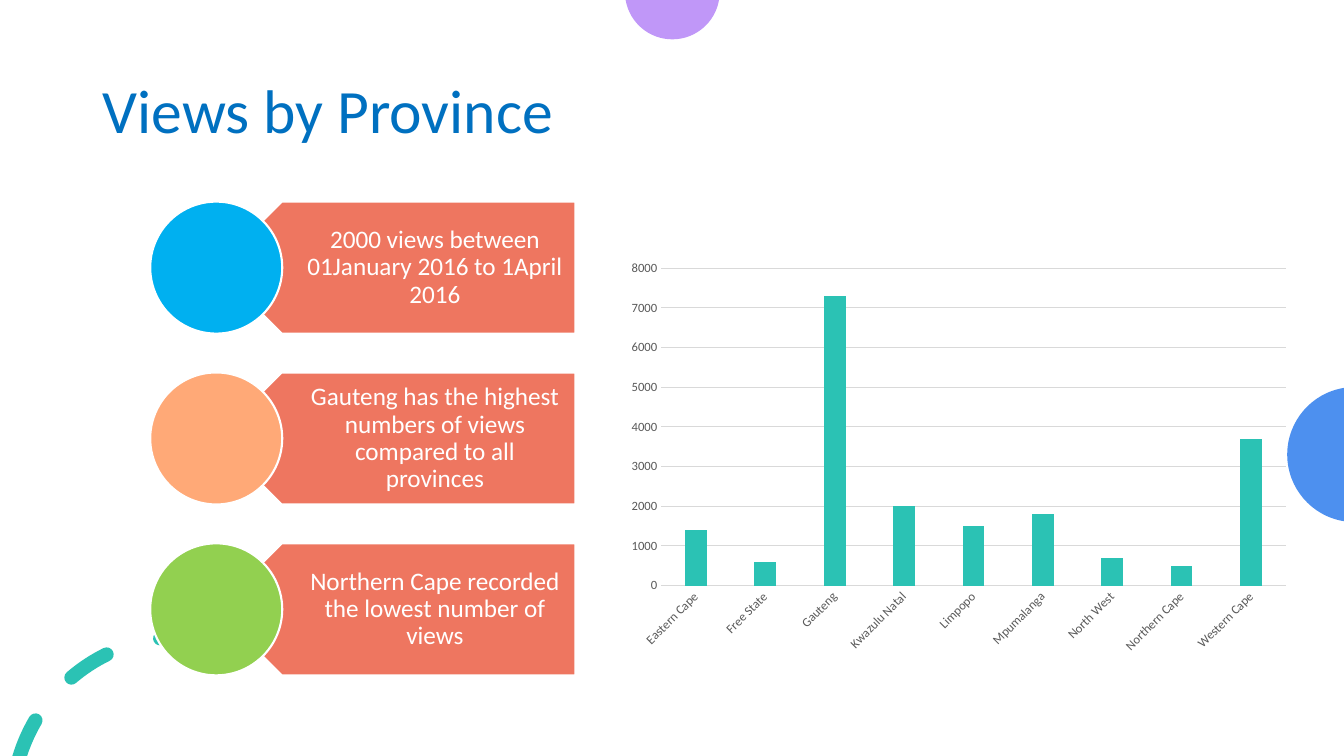
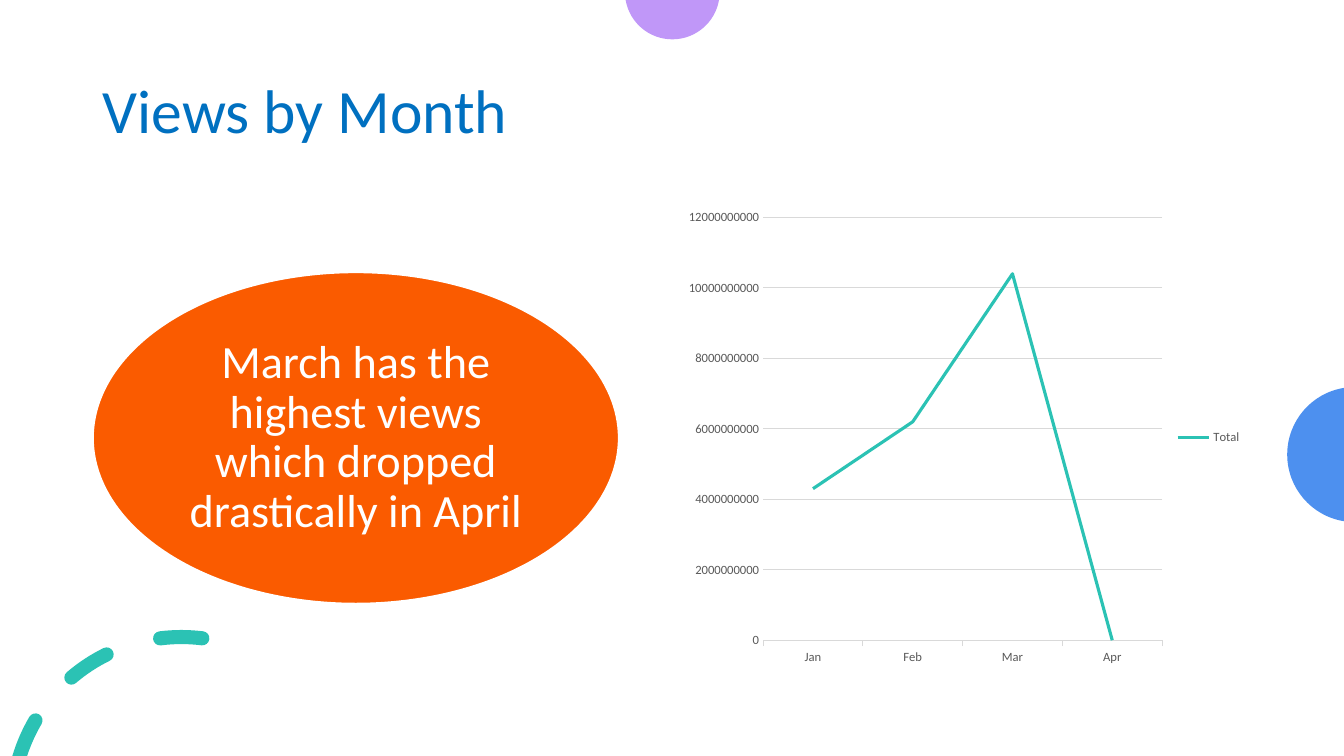
from math import acos, asin, cos, degrees, radians, sin, tan

from lxml import etree
from pptx import Presentation
from pptx.chart.data import CategoryChartData
from pptx.dml.color import RGBColor
from pptx.enum.chart import XL_CHART_TYPE, XL_LEGEND_POSITION, XL_TICK_MARK
from pptx.enum.shapes import MSO_SHAPE
from pptx.enum.text import MSO_ANCHOR, PP_ALIGN
from pptx.oxml.ns import qn
from pptx.util import Inches, Pt

WIDTH, HEIGHT = 40 / 3, 7.5

THEME = {
    "font": "Calibri",
    "title": RGBColor(0x00, 0x70, 0xC0),
    "white": RGBColor(0xFF, 0xFF, 0xFF),
    "teal": RGBColor(0x2B, 0xC2, 0xB4),
    "purple": RGBColor(0xC0, 0x97, 0xF8),
    "blue": RGBColor(0x4D, 0x90, 0xEF),
    "coral": RGBColor(0xEE, 0x76, 0x60),
    "sky": RGBColor(0x00, 0xB0, 0xF0),
    "peach": RGBColor(0xFF, 0xA9, 0x77),
    "green": RGBColor(0x92, 0xD0, 0x50),
    "orange": RGBColor(0xFA, 0x5B, 0x00),
    "grid": RGBColor(0xD9, 0xD9, 0xD9),
    "axis_text": RGBColor(0x59, 0x59, 0x59),
    "title_size": Pt(44),
    "point_size": Pt(18),
    "callout_size": Pt(33),
    "chart_size": Pt(9),
    "outline": Pt(1.5),
    "grid_line": Pt(0.75),
    "series_line": Pt(2.25),
}


def write_text(shape, text, size, color, align, margins):
    """Fill a shape with one paragraph; margins run left, top, right, bottom."""
    frame = shape.text_frame
    frame.word_wrap = True
    frame.vertical_anchor = MSO_ANCHOR.MIDDLE
    for side, margin in zip(("left", "top", "right", "bottom"), margins):
        setattr(frame, f"margin_{side}", Inches(margin))
    paragraph = frame.paragraphs[0]
    paragraph.text = text
    paragraph.alignment = align
    paragraph.line_spacing = 0.9
    formats = {"name": THEME["font"], "size": THEME[size]}
    for name, value in formats.items():
        setattr(paragraph.font, name, value)
    paragraph.font.color.rgb = THEME[color]


def arc(x, y, radius, *angles):
    """Points of Bezier curves that follow a circle from angle to angle."""
    points = []
    for first, last in zip(angles, angles[1:]):
        a, b = radians(first), radians(last)
        reach = 4 / 3 * tan((b - a) / 4)
        points += [
            (x + radius * (cos(a) - reach * sin(a)), y + radius * (sin(a) + reach * cos(a))),
            (x + radius * (cos(b) + reach * sin(b)), y + radius * (sin(b) - reach * cos(b))),
            (x + radius * cos(b), y + radius * sin(b)),
        ]
    a = radians(angles[0])
    return [(x + radius * cos(a), y + radius * sin(a))] + points


# Shared decoration: two discs cut by the slide edges
top_x, top_y, top_radius = 6.67, -0.08, 0.47
top_angle = degrees(asin(-top_y / top_radius))
right_x, right_y, right_radius = 13.44, 4.51, 0.67
right_angle = degrees(acos((WIDTH - right_x) / right_radius))

# Shared decoration: ring of round-ended dashes, the first cut by the bottom edge
ring_x, ring_y, ring_radius, half_stroke = 1.8, 8, 1.68, 0.07
outer, inner = ring_radius + half_stroke, ring_radius - half_stroke
dashes = []
for index in range(3):
    start = 196.2 + 33.3 * index
    end = start + 14.3
    if index == 0:
        outer_start, inner_start = (
            180 + degrees(asin((ring_y - HEIGHT) / radius)) for radius in (outer, inner)
        )
    else:
        outer_start = inner_start = start
    end_x, end_y = arc(ring_x, ring_y, ring_radius, end)[0]
    dash = arc(ring_x, ring_y, outer, outer_start, end)
    dash += arc(end_x, end_y, half_stroke, end, end + 90, end + 180)[1:]
    dash += arc(ring_x, ring_y, inner, end, inner_start)[1:]
    if index > 0:
        start_x, start_y = arc(ring_x, ring_y, ring_radius, start)[0]
        dash += arc(start_x, start_y, half_stroke, start + 180, start + 270, start + 360)[1:]
    dashes.append(dash)

decorations = [
    ("purple", [arc(top_x, top_y, top_radius, top_angle, 90, 180 - top_angle)]),
    ("teal", dashes),
    ("blue", [arc(right_x, right_y, right_radius, right_angle, 180, 360 - right_angle)]),
]

presentation = Presentation()
presentation.slide_width = Inches(WIDTH)
presentation.slide_height = Inches(HEIGHT)

# Both slides: decoration and title
slides = []
for title in ("Views by Province", "Views by Month"):
    slide = presentation.slides.add_slide(presentation.slide_layouts[6])
    slides.append(slide)
    for color, contours in decorations:
        scaled = [[(Inches(x), Inches(y)) for x, y in contour] for contour in contours]
        builder = slide.shapes.build_freeform(*scaled[0][0])
        for index, contour in enumerate(scaled):
            if index > 0:
                builder.move_to(*contour[0])
            builder.add_line_segments(contour[1:], close=True)
        shape = builder.convert_to_shape()
        # Every three points make one curve
        segments = list(shape._element.iter(qn("a:lnTo")))
        for first, second, third in zip(segments[::3], segments[1::3], segments[2::3]):
            curve = etree.Element(qn("a:cubicBezTo"))
            first.addprevious(curve)
            for segment in (first, second, third):
                curve.append(segment[0])
                segment.getparent().remove(segment)
        shape.shadow.inherit = False
        shape.fill.solid()
        shape.fill.fore_color.rgb = THEME[color]
        shape.line.fill.background()
    title_box = slide.shapes.add_textbox(
        Inches(0.92), Inches(0.4), Inches(11.5), Inches(1.45)
    )
    write_text(title_box, title, "title_size", "title", PP_ALIGN.LEFT,
               (0.1, 0.05, 0.1, 0.05))
province_slide, month_slide = slides

# Province slide: three points, each an arrow tag with a disc
points = [
    ("sky", "2000 views between 01January 2016 to 1April 2016"),
    ("peach", "Gauteng has the highest numbers of views compared to all provinces"),
    ("green", "Northern Cape recorded the lowest number of views"),
]
size = 1.31
preset_rows = []
for index, (color, text) in enumerate(points):
    top = 2 + 1.695 * index
    preset_rows += [
        (province_slide, MSO_SHAPE.PENTAGON, 2.14, top, 3.57, size, "coral", text),
        (province_slide, MSO_SHAPE.OVAL, 1.49, top, size, size, color, None),
    ]

# Month slide: callout
preset_rows.append((
    month_slide, MSO_SHAPE.OVAL, 0.92, 2.7, 5.22, 3.29, "orange",
    "March has the highest views which dropped drastically in April",
))

for slide, kind, left, top, width, height, fill, text in preset_rows:
    shape = slide.shapes.add_shape(
        kind, Inches(left), Inches(top), Inches(width), Inches(height)
    )
    shape.shadow.inherit = False
    shape.fill.solid()
    shape.fill.fore_color.rgb = THEME[fill]
    shape.line.color.rgb = THEME["white"]
    shape.line.width = THEME["outline"]
    if kind == MSO_SHAPE.PENTAGON:
        # The tag points left, so its upright label is a box of its own
        shape.rotation = 180
        label = slide.shapes.add_textbox(
            Inches(2.47), Inches(top), Inches(3.25), Inches(height)
        )
        write_text(label, text, "point_size", "white", PP_ALIGN.CENTER,
                   (0.57, 0.07, 0.13, 0.07))
    elif text:
        write_text(shape, text, "callout_size", "white", PP_ALIGN.CENTER, (0.02,) * 4)

# Charts
views_by_province = {
    "Eastern Cape": 1400, "Free State": 600, "Gauteng": 7300,
    "Kwazulu Natal": 2000, "Limpopo": 1500, "Mpumalanga": 1800,
    "North West": 700, "Northern Cape": 500, "Western Cape": 3700,
}
views_by_month = {
    "Jan": 4_300_000_000, "Feb": 6_200_000_000, "Mar": 10_400_000_000, "Apr": 0,
}
chart_height, province_width = 4.7, 6.79
chart_rows = [
    (province_slide, XL_CHART_TYPE.COLUMN_CLUSTERED, 5.97, province_width, "Series 1",
     views_by_province, 8000, 1000, XL_TICK_MARK.NONE),
    (month_slide, XL_CHART_TYPE.LINE, 6.72, 5.7, "Total",
     views_by_month, 12_000_000_000, 2_000_000_000, XL_TICK_MARK.OUTSIDE),
]
charts = []
for slide, kind, left, width, name, values, maximum, step, tick in chart_rows:
    data = CategoryChartData()
    data.categories = list(values)
    data.add_series(name, list(values.values()))
    chart = slide.shapes.add_chart(
        kind, Inches(left), Inches(1.99), Inches(width), Inches(chart_height), data
    ).chart
    charts.append(chart)
    chart.has_title = False
    chart.has_legend = False
    chart.font.name = THEME["font"]
    chart.font.size = THEME["chart_size"]
    chart.font.color.rgb = THEME["axis_text"]
    chart.plots[0].vary_by_categories = False

    category_axis, value_axis = chart.category_axis, chart.value_axis
    category_axis.major_tick_mark = tick
    axis_formats = {
        "minimum_scale": 0, "maximum_scale": maximum, "major_unit": step,
        "major_tick_mark": XL_TICK_MARK.NONE, "has_major_gridlines": True,
    }
    for attribute, value in axis_formats.items():
        setattr(value_axis, attribute, value)
    value_axis.tick_labels.number_format = "General"
    value_axis.tick_labels.number_format_is_linked = False
    value_axis.format.line.fill.background()
    for line in (category_axis.format.line, value_axis.major_gridlines.format.line):
        line.color.rgb = THEME["grid"]
        line.width = THEME["grid_line"]
province_chart, month_chart = charts

# Province columns: spacing, slanted labels and a fixed plot area
columns = province_chart.plots[0]
columns.gap_width = 219
columns.overlap = -27
columns.series[0].format.fill.solid()
columns.series[0].format.fill.fore_color.rgb = THEME["teal"]
label_font = province_chart.category_axis.tick_labels.font
label_font.size = THEME["chart_size"]
label_font.color.rgb = THEME["axis_text"]
label_font.name = THEME["font"]
axis_element = province_chart.category_axis._element
axis_element.find(f"{qn('c:txPr')}/{qn('a:bodyPr')}").set("rot", "-2700000")

plot_area = province_chart._chartSpace.find(f"{qn('c:chart')}/{qn('c:plotArea')}")
for old_layout in plot_area.findall(qn("c:layout")):
    plot_area.remove(old_layout)
layout = etree.Element(qn("c:layout"))
plot_area.insert(0, layout)
manual_layout = etree.SubElement(layout, qn("c:manualLayout"))
layout_values = {
    "layoutTarget": "inner", "xMode": "edge", "yMode": "edge",
    "x": 0.59 / province_width, "y": 0.67 / chart_height,
    "w": 6.2 / province_width, "h": 3.15 / chart_height,
}
for tag_name, value in layout_values.items():
    etree.SubElement(manual_layout, qn(f"c:{tag_name}")).set("val", str(value))

# Month line and legend
total = month_chart.plots[0].series[0]
total.smooth = False
total.format.line.color.rgb = THEME["teal"]
total.format.line.width = THEME["series_line"]
month_chart.has_legend = True
month_chart.legend.position = XL_LEGEND_POSITION.RIGHT
month_chart.legend.include_in_layout = False

presentation.save("out.pptx")
